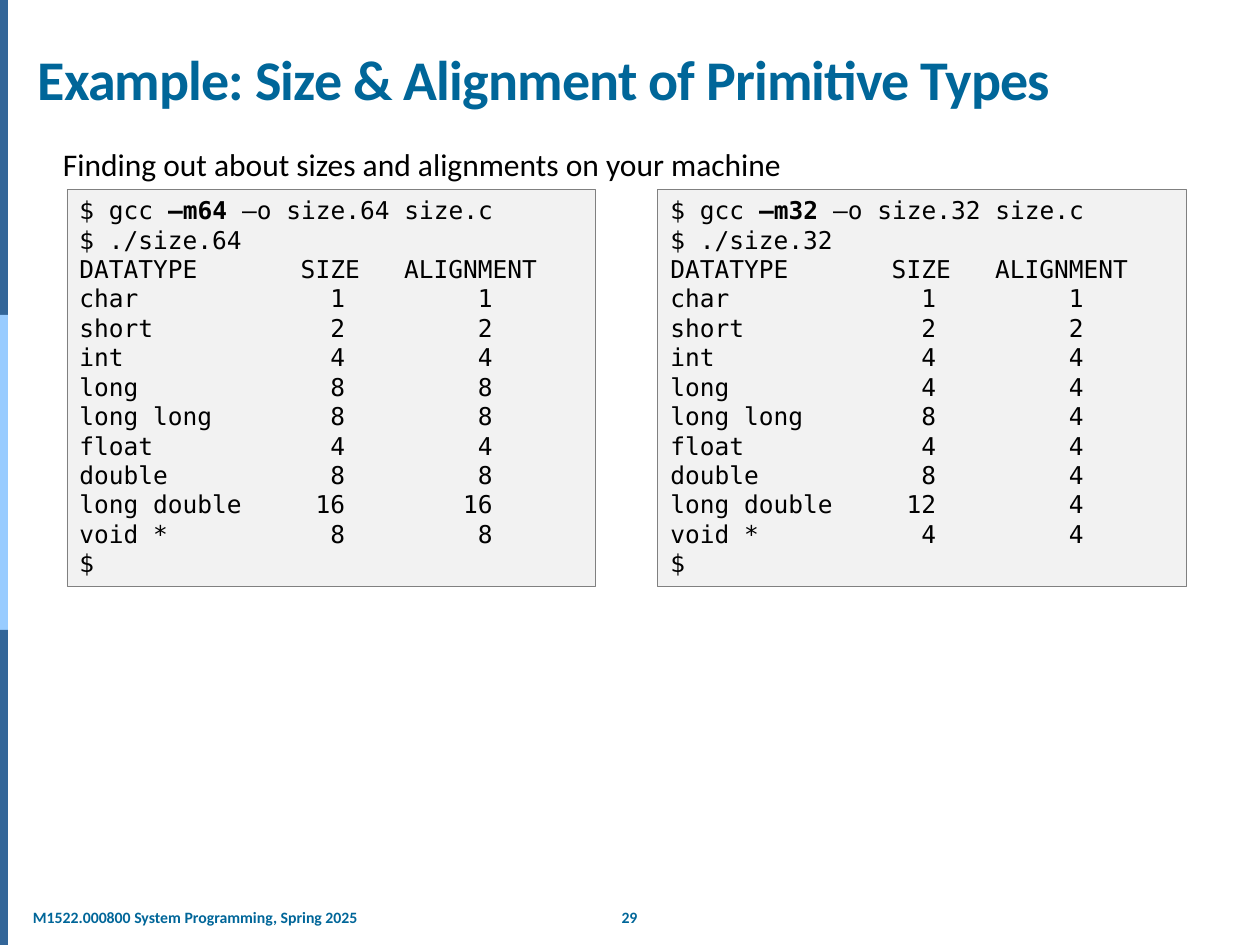
"""Builds the slide on size and alignment of primitive C types."""
from pptx import Presentation
from pptx.dml.color import RGBColor
from pptx.enum.shapes import MSO_SHAPE as Shape
from pptx.enum.text import MSO_ANCHOR as Anchor, MSO_AUTO_SIZE as AutoSize, PP_ALIGN as Align
from pptx.util import Emu, Pt

TITLE = "Example: Size & Alignment of Primitive Types"
INTRO = "Finding out about sizes and alignments on your machine"
COURSE = "M1522.000800 System Programming, Spring 2025"
PAGE_NUMBER = "29"
HEADER = "DATATYPE       SIZE   ALIGNMENT"
TYPES = ["char", "short", "int", "long", "long long", "float", "double", "long double", "void *"]
MACHINES = [
    {"bits": 64, "sizes": [1, 2, 4, 8, 8, 4, 8, 16, 8], "alignments": [1, 2, 4, 8, 8, 4, 8, 16, 8]},
    {"bits": 32, "sizes": [1, 2, 4, 4, 8, 4, 8, 12, 4], "alignments": [1, 2, 4, 4, 4, 4, 4, 4, 4]},
]
THEME = {
    "accent": "006699", "text": "000000", "panel": "F2F2F2", "border": "808080",
    "bars": ["336699", "99CCFF", "336699"],
    "body_font": "Calibri", "code_font": "DejaVu Sans Mono",
    "title": 32, "intro": 18, "code": 14, "footer": 9,
}
SLIDE = (1260, 945)
BAR_WIDTH = 8
PANEL = (67, 189, 529, 398)
PANEL_STEP = 591


def px(count):
    return Emu(round(count * 914400 / 126))


def color(name):
    return RGBColor.from_string(THEME.get(name, name))


def add_span(para, text, size, ink, face="body_font", bold=False):
    span = para.add_run()
    span.text = text
    font = span.font
    font.name, font.size, font.bold = THEME[face], Pt(THEME[size]), bold
    font.color.rgb = color(ink)
    return span


def add_label(page, area, text, size, ink, bold=False, align=Align.LEFT, side=13):
    frame = page.shapes.add_textbox(*map(px, area)).text_frame
    frame.word_wrap = False
    frame.margin_left = frame.margin_right = px(side)
    para = frame.paragraphs[0]
    para.alignment = align
    add_span(para, text, size, ink, bold=bold)


def add_block(page, area, fill):
    block = page.shapes.add_shape(Shape.RECTANGLE, *map(px, area))
    block.shadow.inherit = False
    block.fill.solid()
    block.fill.fore_color.rgb = color(fill)
    block.line.fill.background()
    return block


def terminal_lines(machine):
    bits = machine["bits"]
    rows = zip(TYPES, machine["sizes"], machine["alignments"])
    return [
        [("$ gcc ", False), (f"–m{bits}", True), (f" –o size.{bits} size.c", False)],
        [(f"$ ./size.{bits}", False)],
        [(HEADER, False)],
        *[[(f"{name:<14}{size:>4}{alignment:>10}", False)] for name, size, alignment in rows],
        [("$", False)],
    ]


def add_terminal(page, area, machine):
    panel = add_block(page, area, "panel")
    panel.line.color.rgb = color("border")
    panel.line.width = Pt(0.5)
    frame = panel.text_frame
    frame.word_wrap = True
    frame.vertical_anchor = Anchor.TOP
    for index, line in enumerate(terminal_lines(machine)):
        para = frame.add_paragraph() if index else frame.paragraphs[0]
        para.alignment = Align.LEFT
        for text, bold in line:
            add_span(para, text, "code", "text", "code_font", bold)


def add_title(page):
    title = page.shapes.title
    title.left, title.top, title.width, title.height = map(px, (25, 39, 1216, 79))
    frame = title.text_frame
    frame.word_wrap = True
    frame.auto_size = AutoSize.NONE
    frame.vertical_anchor = Anchor.BOTTOM
    para = frame.paragraphs[0]
    para.alignment = Align.LEFT
    span = add_span(para, TITLE, "title", "accent", bold=True)
    span.font._element.set("spc", "-50")


def main():
    deck = Presentation()
    deck.slide_width, deck.slide_height = map(px, SLIDE)
    page = deck.slides.add_slide(deck.slide_layouts[5])
    bar_height = SLIDE[1] // len(THEME["bars"])
    for index, fill in enumerate(THEME["bars"]):
        add_block(page, (0, index * bar_height, BAR_WIDTH, bar_height), fill)
    add_title(page)
    add_label(page, (50, 139, 820, 50), INTRO, "intro", "text")
    left, top, width, height = PANEL
    for index, machine in enumerate(MACHINES):
        add_terminal(page, (left + index * PANEL_STEP, top, width, height), machine)
    add_label(page, (25, 902, 343, 31), COURSE, "footer", "accent", bold=True, side=8)
    add_label(page, (607, 902, 45, 31), PAGE_NUMBER, "footer", "accent", bold=True, align=Align.CENTER)
    deck.save("out.pptx")


if __name__ == "__main__":
    main()
